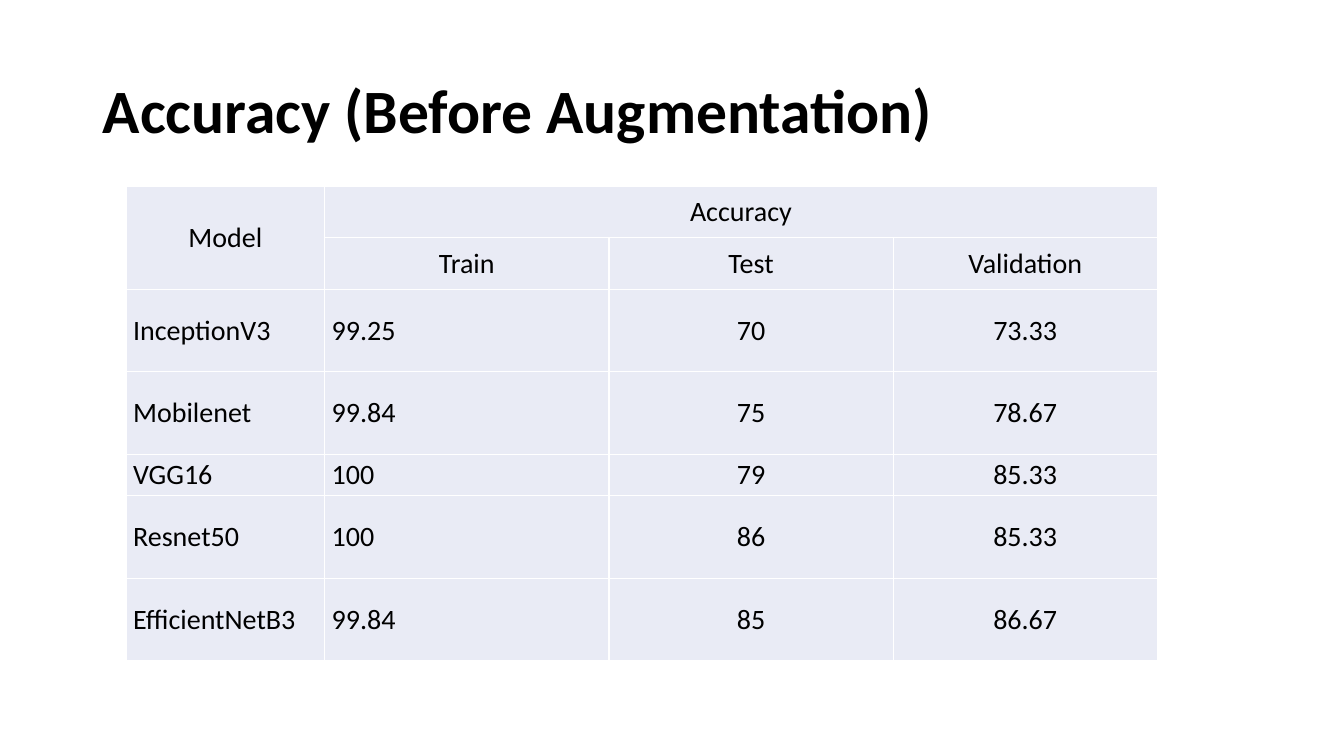
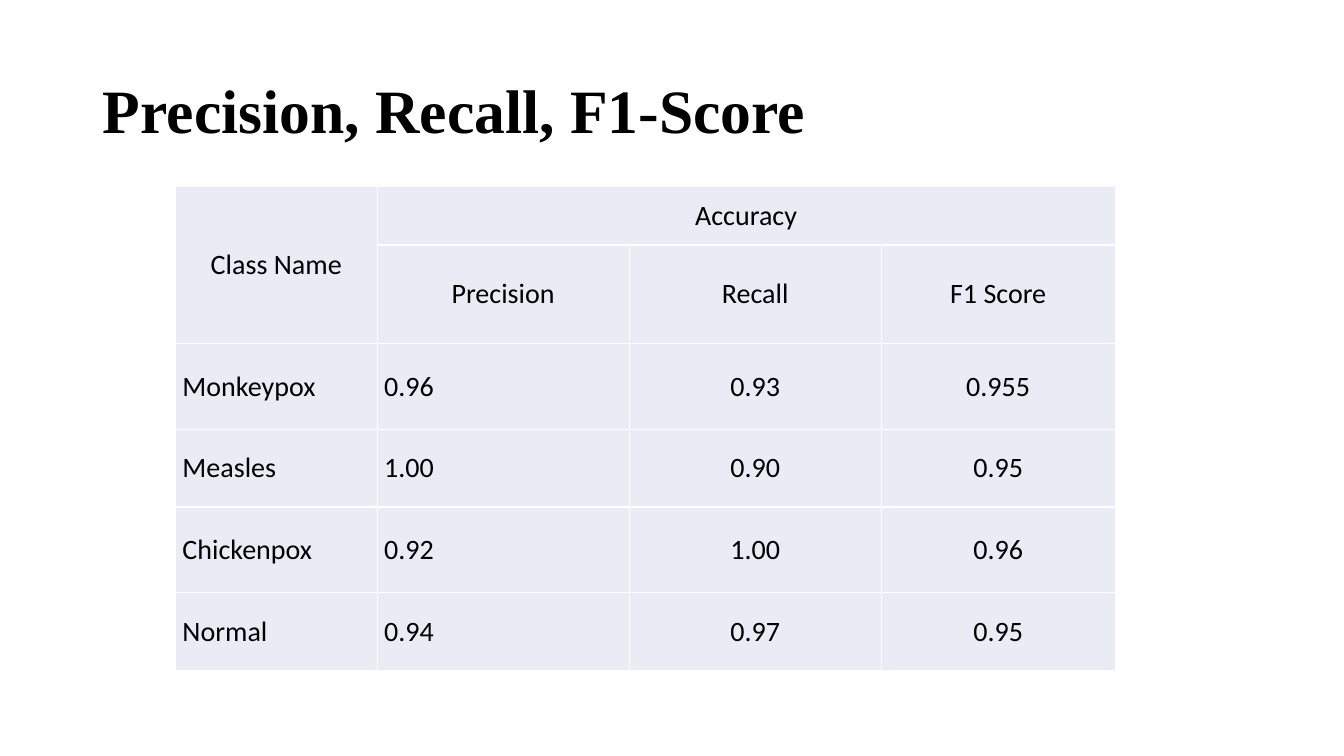
"""Build two slides of model results, each with a title and a grouped-header table."""
from lxml import etree
from pptx import Presentation
from pptx import util as u
from pptx.dml.color import RGBColor
from pptx.enum import text
from pptx.oxml import ns

COLORS = {"ink": "000000", "cell": "E9EBF5", "grid": "FFFFFF"}
BODY_FONT = "Calibri"
TITLE_BOX = (0.92, 0.4, 11.5, 1.45)
TABLE_TOP = 1.85
TITLE_ONLY = 5

RESULTS = [
    {
        "title": "Accuracy (Before Augmentation)",
        "title_font": BODY_FONT,
        "left": 1.25,
        "columns": [1.97, 2.82, 2.82, 2.62],
        "heights": [0.51, 0.51, 0.82, 0.82, 0.41, 0.82, 0.82],
        "rows": [
            ["Model", "Accuracy", "", ""],
            ["", "Train", "Test", "Validation"],
            ["InceptionV3", "99.25", "70", "73.33"],
            ["Mobilenet", "99.84", "75", "78.67"],
            ["VGG16", "100", "79", "85.33"],
            ["Resnet50", "100", "86", "85.33"],
            ["EfficientNetB3", "99.84", "85", "86.67"],
        ],
    },
    {
        "title": "Precision, Recall, F1-Score",
        "title_font": "Times New Roman",
        "left": 1.74,
        "columns": [2, 2.5, 2.5, 2.32],
        "heights": [0.58, 0.98, 0.85, 0.77, 0.85, 0.77],
        "rows": [
            ["Class Name", "Accuracy", "", ""],
            ["", "Precision", "Recall", "F1 Score"],
            ["Monkeypox", "0.96", "0.93", "0.955"],
            ["Measles", "1.00", "0.90", "0.95"],
            ["Chickenpox", "0.92", "1.00", "0.96"],
            ["Normal", "0.94", "0.97", "0.95"],
        ],
    },
]


def style_runs(paragraph, font_name, size, bold=False):
    for run in paragraph.runs:
        run.font.name = font_name
        run.font.size = u.Pt(size)
        run.font.bold = bold
        run.font.color.rgb = RGBColor.from_string(COLORS["ink"])


def place_title(slide, box, wording, font_name):
    title = slide.shapes.title
    title.left, title.top, title.width, title.height = map(u.Inches, box)
    frame = title.text_frame
    frame.text = wording
    frame.word_wrap = True
    frame.auto_size = text.MSO_AUTO_SIZE.NONE
    frame.vertical_anchor = text.MSO_ANCHOR.MIDDLE
    heading = frame.paragraphs[0]
    heading.alignment = text.PP_ALIGN.LEFT
    heading.line_spacing = 0.9
    style_runs(heading, font_name, 44, bold=True)


def add_borders(cell):
    properties = cell._tc.get_or_add_tcPr()
    for position, side in enumerate(("lnL", "lnR", "lnT", "lnB")):
        border = etree.Element(ns.qn(f"a:{side}"), w=str(u.Pt(1)))
        fill = etree.SubElement(border, ns.qn("a:solidFill"))
        etree.SubElement(fill, ns.qn("a:srgbClr"), val=COLORS["grid"])
        properties.insert(position, border)


def fill_cell(cell, wording, alignment):
    cell.fill.solid()
    cell.fill.fore_color.rgb = RGBColor.from_string(COLORS["cell"])
    add_borders(cell)
    cell.margin_left = cell.margin_right = u.Inches(0.07)
    cell.margin_top = cell.margin_bottom = 0
    cell.vertical_anchor = text.MSO_ANCHOR.MIDDLE
    if wording:
        cell.text_frame.text = wording
        entry = cell.text_frame.paragraphs[0]
        entry.alignment = alignment
        style_runs(entry, BODY_FONT, 20)


def place_scores(slide, left, top, columns, heights, rows):
    box = map(u.Inches, (left, top, sum(columns), sum(heights)))
    scores = slide.shapes.add_table(len(rows), len(columns), *box).table
    scores.first_row = scores.horz_banding = False
    for column, width in zip(scores.columns, columns):
        column.width = u.Inches(width)
    for row, height in zip(scores.rows, heights):
        row.height = u.Inches(height)
    scores.cell(0, 0).merge(scores.cell(1, 0))
    scores.cell(0, 1).merge(scores.cell(0, len(columns) - 1))
    for r, entries in enumerate(rows):
        for c, wording in enumerate(entries):
            justified = r > 1 and c < 2
            alignment = text.PP_ALIGN.JUSTIFY if justified else text.PP_ALIGN.CENTER
            fill_cell(scores.cell(r, c), wording, alignment)


def add_result_slide(deck, result):
    slide = deck.slides.add_slide(deck.slide_layouts[TITLE_ONLY])
    place_title(slide, TITLE_BOX, result["title"], result["title_font"])
    place_scores(slide, result["left"], TABLE_TOP, result["columns"],
                 result["heights"], result["rows"])


def main():
    deck = Presentation()
    deck.slide_width, deck.slide_height = u.Inches(13.33), u.Inches(7.5)
    for result in RESULTS:
        add_result_slide(deck, result)
    deck.save("out.pptx")


if __name__ == "__main__":
    main()
